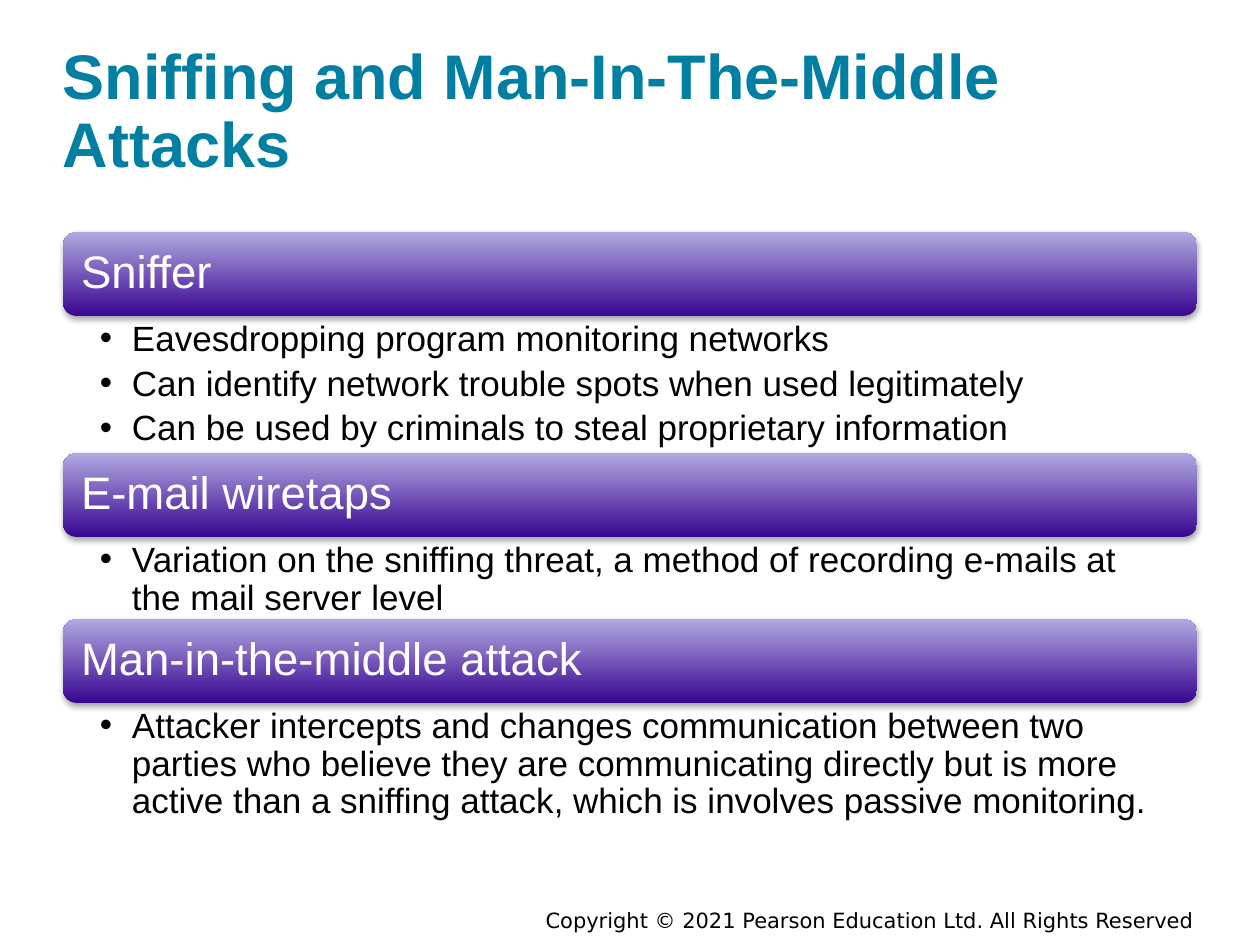
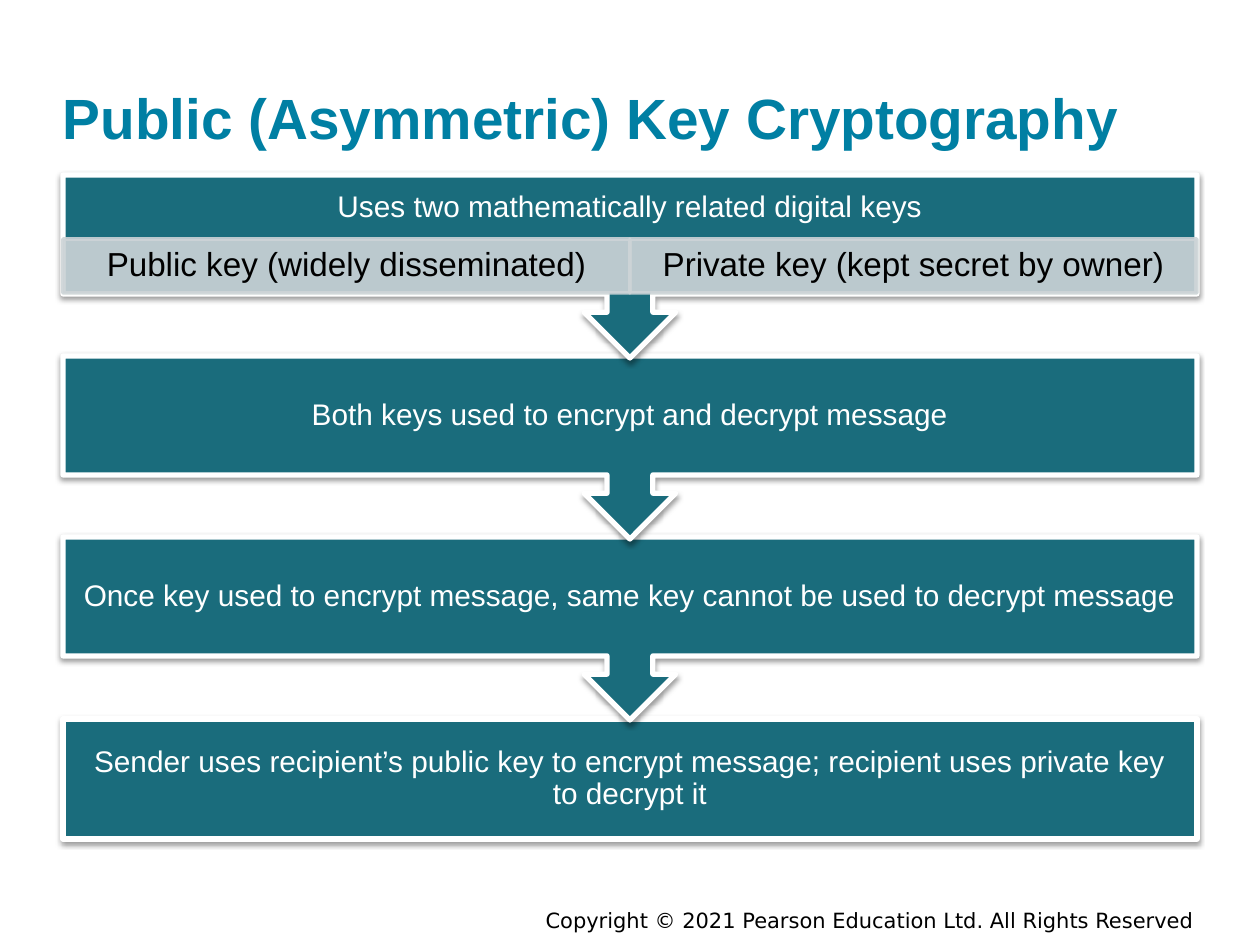
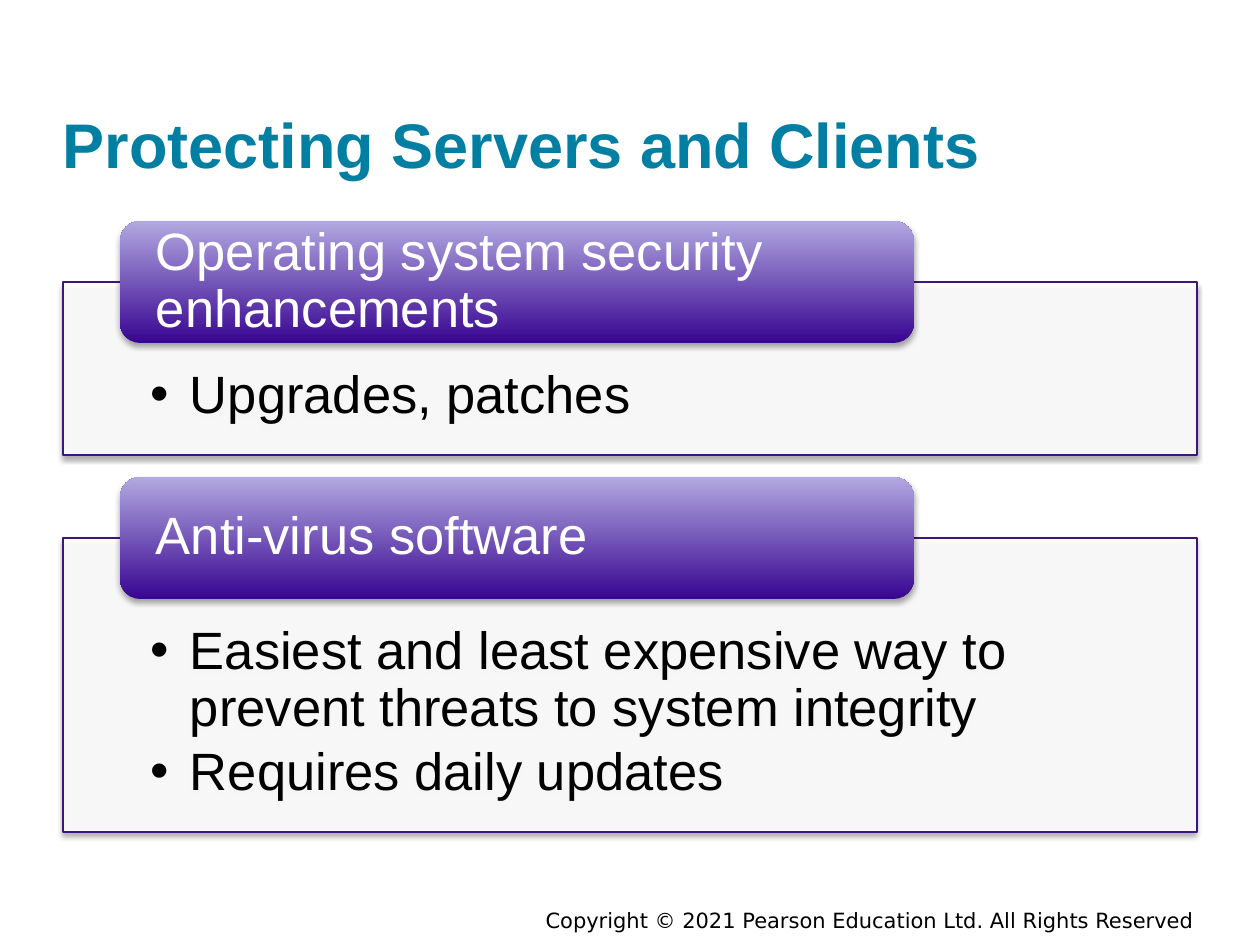
from pptx import Presentation
from pptx.dml.color import RGBColor
from pptx.enum.shapes import MSO_SHAPE as Preset
from pptx.enum.text import MSO_ANCHOR as Anchor, PP_ALIGN as Align
from pptx.oxml.ns import qn
from pptx.util import Pt
from lxml.etree import SubElement

# Shared colours, fonts and measures
TITLE_TEAL = RGBColor(0x00, 0x7F, 0xA3)
STEP_TEAL = RGBColor(0x1A, 0x6C, 0x7C)
DARK_PURPLE = RGBColor(0x38, 0x05, 0x91)
LIGHT_PURPLE = RGBColor(0xB2, 0xA9, 0xE1)
EDGE_PURPLE = RGBColor(0x3C, 0x15, 0x81)
KEY_GREY = RGBColor(0xCD, 0xD4, 0xD7)
WHITE = RGBColor(0xFF, 0xFF, 0xFF)
BLACK = RGBColor(0x00, 0x00, 0x00)
BODY_FONT = "Arial"
FOOTER_FONT = "DejaVu Sans"
FOOTER = "Copyright © 2021 Pearson Education Ltd. All Rights Reserved"
LEFT, WIDTH = 63, 1134


def px(length):
    return round(length * 914400 / 126)


def write_text(box, text, size=20, color=BLACK, font=BODY_FONT, bold=False,
               align=Align.LEFT, anchor=Anchor.MIDDLE, insets=(0, 0, 0, 0),
               line_spacing=0.9, gap=0, bullet_indent=0):
    """Fill a box with one paragraph per line of text."""
    frame = box.text_frame
    frame.word_wrap = True
    frame.vertical_anchor = anchor
    (frame.margin_left, frame.margin_top,
     frame.margin_right, frame.margin_bottom) = map(px, insets)
    for number, line in enumerate(text.split("\n")):
        para = frame.add_paragraph() if number else frame.paragraphs[0]
        para.alignment = align
        para.line_spacing = line_spacing
        para.space_after = Pt(gap)
        if bullet_indent:
            properties = para._p.get_or_add_pPr()
            properties.set("marL", str(px(bullet_indent)))
            properties.set("indent", str(-px(bullet_indent)))
            SubElement(properties, qn("a:buFont"), typeface=BODY_FONT)
            SubElement(properties, qn("a:buChar"), char="•")
        span = para.add_run()
        span.text = line
        span.font.name = font
        span.font.size = Pt(size)
        span.font.bold = bold
        span.font.color.rgb = color


class SlideBuilder:
    def __init__(self, deck):
        self.deck = deck
        self.page = None

    def start(self, title, bottom=181, **style):
        """Add a page with its title, standing on bottom, and the footer."""
        self.page = self.deck.slides.add_slide(self.deck.slide_layouts[6])
        self.text(373, 895, 834, 50, FOOTER, size=12, font=FOOTER_FONT,
                  align=Align.RIGHT, insets=(13, 6, 13, 6), line_spacing=1)
        self.text(LEFT, 30, WIDTH, bottom - 30, title, color=TITLE_TEAL,
                  bold=True, anchor=Anchor.BOTTOM, **{"size": 36, **style})

    def text(self, left, top, width, height, text, **style):
        box = self.page.shapes.add_textbox(*map(px, (left, top, width, height)))
        write_text(box, text, **style)

    def shape(self, preset, left, top, width, height, fill=None, line=None,
              weight=0.75, shadow=None):
        """Add a preset shape; without a fill it gets the purple gradient."""
        shape = self.page.shapes.add_shape(
            preset, *map(px, (left, top, width, height)))
        if fill is None:
            shape.fill.gradient()
            shape.fill.gradient_angle = 90
            for stop, color in zip(shape.fill.gradient_stops,
                                   (DARK_PURPLE, LIGHT_PURPLE)):
                stop.color.rgb = color
        else:
            shape.fill.solid()
            shape.fill.fore_color.rgb = fill
        if line is None:
            shape.line.fill.background()
        else:
            shape.line.color.rgb = line
            shape.line.width = Pt(weight)
        shape.shadow.inherit = False
        if shadow:
            self.cast_shadow(shape, *shadow)
        return shape

    def cast_shadow(self, shape, opacity, distance):
        effects = shape._element.spPr.find(qn("a:effectLst"))
        outer = SubElement(effects, qn("a:outerShdw"), blurRad=str(Pt(3.1)),
                           dist=str(Pt(distance)), dir="5400000",
                           rotWithShape="0")
        color = SubElement(outer, qn("a:srgbClr"), val="000000")
        SubElement(color, qn("a:alpha"), val=str(opacity * 1000))

    def soften(self, shape, *parts):
        """Make the given solid fills of a shape 90 % opaque."""
        for part in parts:
            color = shape._element.spPr.find(part + qn("a:solidFill"))[0]
            SubElement(color, qn("a:alpha"), val="90000")

    def bar(self, left, top, width, height, text, size, inset):
        bar = self.shape(Preset.ROUNDED_RECTANGLE, left, top, width, height,
                         shadow=(35, 1.8))
        write_text(bar, text, size=size, color=WHITE,
                   insets=(inset, 0, inset, 0))

    def step(self, preset, top, height, text, bottom_inset=16):
        step = self.shape(preset, LEFT, top, WIDTH, height, fill=STEP_TEAL,
                          line=WHITE, weight=3, shadow=(38, 1.6))
        write_text(step, text, size=17, color=WHITE, align=Align.CENTER,
                   insets=(16, 16, 16, bottom_inset))

    def key(self, left, text):
        key = self.shape(Preset.RECTANGLE, left, 239, WIDTH // 2, 54,
                         fill=KEY_GREY, line=KEY_GREY, weight=2)
        self.soften(key, "", qn("a:ln") + "/")
        write_text(key, text, size=19, align=Align.CENTER,
                   insets=(19, 4, 19, 4))

    def panel(self, top, height, text):
        panel = self.shape(Preset.RECTANGLE, LEFT, top, WIDTH, height,
                           fill=WHITE, line=EDGE_PURPLE, shadow=(35, 1.8))
        self.soften(panel, "")
        write_text(panel, text, size=30, anchor=Anchor.TOP, gap=4.5,
                   insets=(88, 86, 88, 29), bullet_indent=39)


def build_attacks(slide):
    slide.start("Sniffing and Man-In-The-Middle Attacks")
    top, bar_height = 232, 84
    attacks = [
        ("Sniffer", 137,
         "Eavesdropping program monitoring networks\n"
         "Can identify network trouble spots when used legitimately\n"
         "Can be used by criminals to steal proprietary information"),
        ("E-mail wiretaps", 82,
         "Variation on the sniffing threat, a method of recording e-mails at "
         "the mail server level"),
        ("Man-in-the-middle attack", 118,
         "Attacker intercepts and changes communication between two parties "
         "who believe they are communicating directly but is more active than "
         "a sniffing attack, which is involves passive monitoring."),
    ]
    for name, height, points in attacks:
        slide.bar(LEFT, top, WIDTH, bar_height, name, size=26, inset=14)
        top += bar_height
        slide.text(LEFT, top, WIDTH, height, points, anchor=Anchor.TOP,
                   insets=(37, 5, 25, 5), gap=4, bullet_indent=32)
        top += height


def build_cryptography(slide):
    slide.start("Public (Asymmetric) Key Cryptography", bottom=151, size=32.4,
                line_spacing=1)
    first_top, last_top = 175, 719
    steps = [
        "Uses two mathematically related digital keys",
        "Both keys used to encrypt and decrypt message",
        "Once key used to encrypt message, same key cannot be used to decrypt "
        "message",
    ]
    # Drawn upwards, so that each arrow tip lies over the next step
    slide.step(Preset.RECTANGLE, last_top, 120,
               "Sender uses recipient’s public key to encrypt message; "
               "recipient uses private key to decrypt it")
    for number in reversed(range(len(steps))):
        top = first_top + (last_top - first_top) * number // len(steps)
        slide.step(Preset.DOWN_ARROW_CALLOUT, top, 183, steps[number],
                   bottom_inset=16 if number else 70)
    slide.key(LEFT, "Public key (widely disseminated)")
    slide.key(LEFT + WIDTH // 2, "Private key (kept secret by owner)")


def build_protection(slide):
    slide.start("Protecting Servers and Clients", line_spacing=1)
    top, gap, tab_height = 282, 83, 122
    measures = [
        ("Operating system security enhancements", 173, "Upgrades, patches"),
        ("Anti-virus software", 294,
         "Easiest and least expensive way to prevent threats to system "
         "integrity\nRequires daily updates"),
    ]
    for name, height, points in measures:
        slide.panel(top, height, points)
        slide.bar(120, top - tab_height // 2, 794, tab_height, name,
                  size=30, inset=30)
        top += height + gap


def main():
    deck = Presentation()
    deck.slide_width, deck.slide_height = px(1260), px(945)
    slide = SlideBuilder(deck)
    build_attacks(slide)
    build_cryptography(slide)
    build_protection(slide)
    deck.save("out.pptx")


if __name__ == "__main__":
    main()
